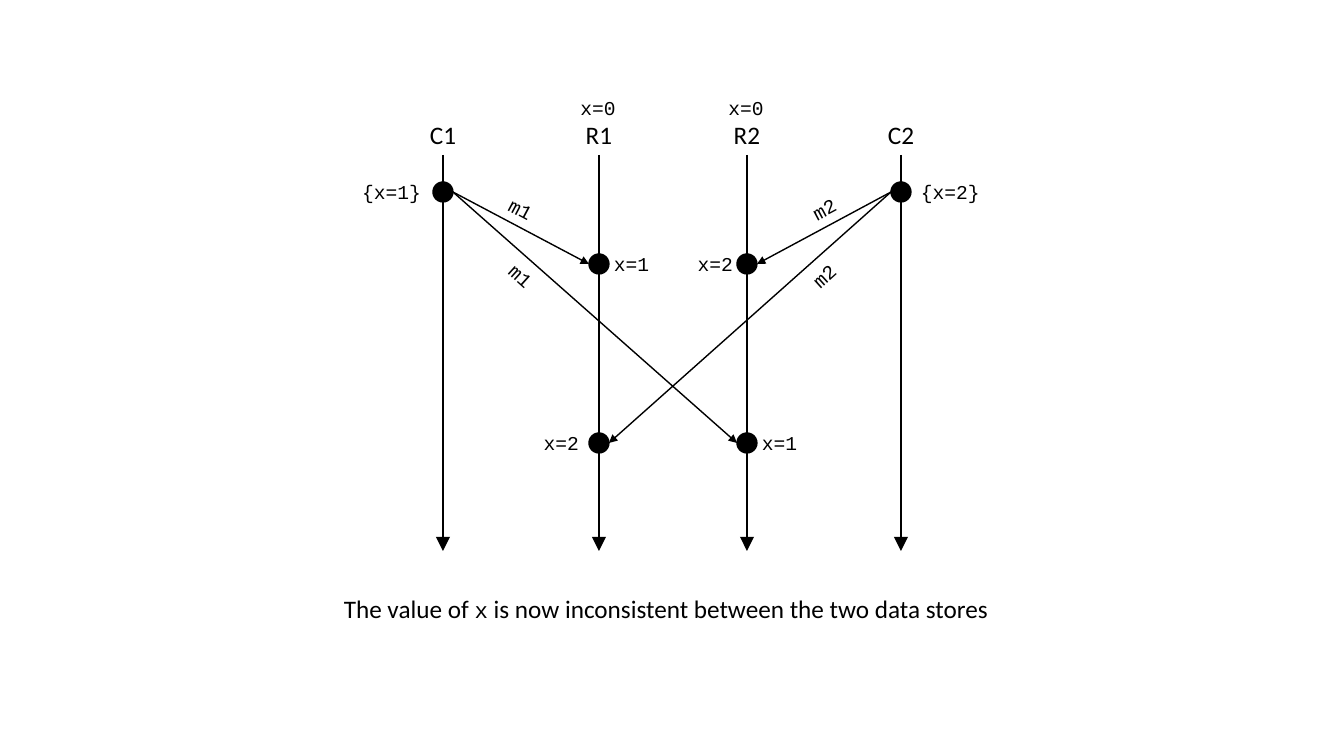
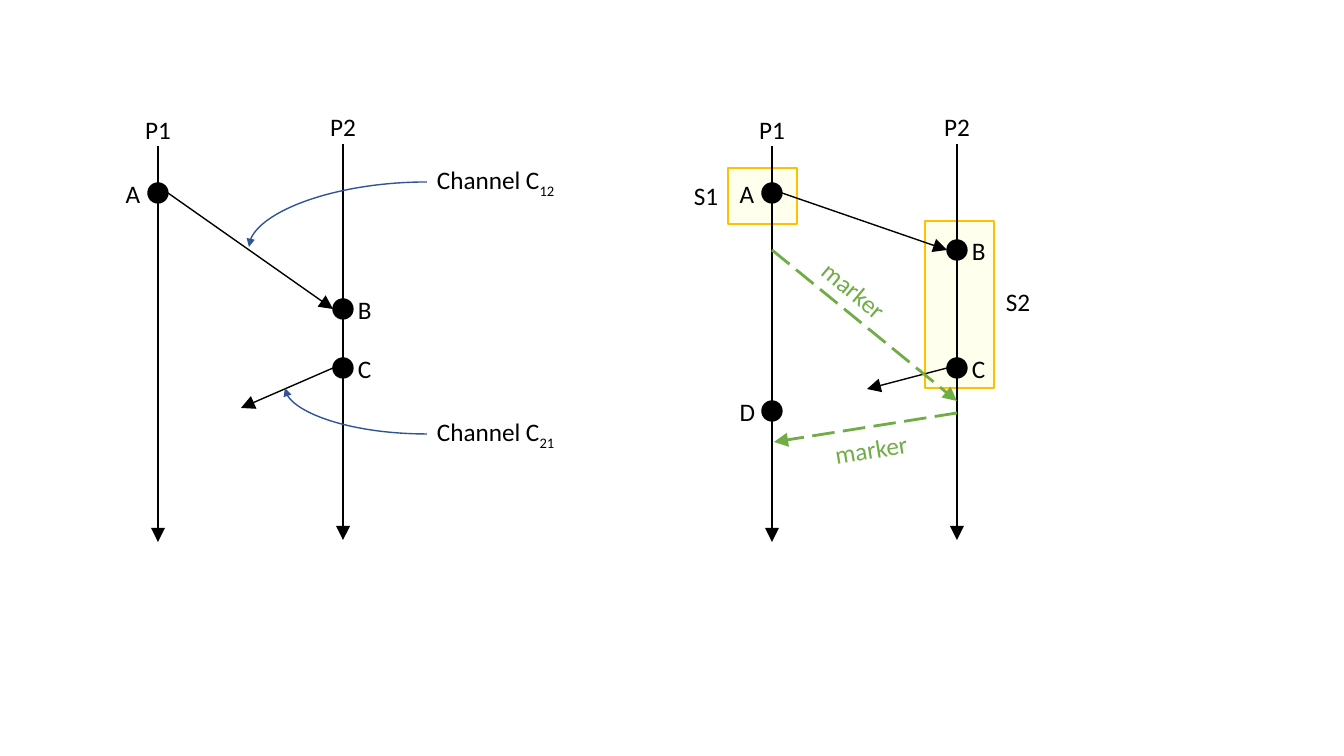
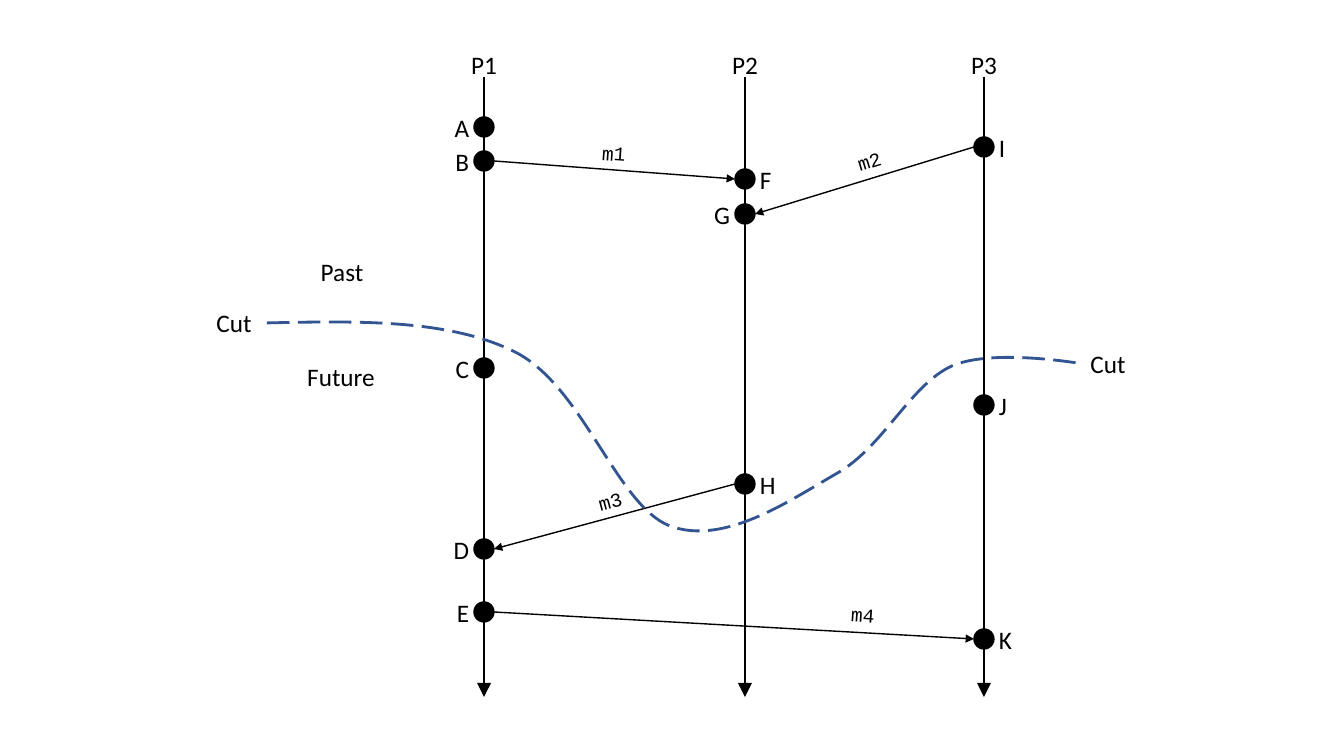
from dataclasses import dataclass

from lxml.etree import SubElement
from pptx import Presentation
from pptx.dml.color import RGBColor
from pptx.enum.dml import MSO_LINE
from pptx.enum.shapes import MSO_CONNECTOR as Connector, MSO_SHAPE as Preset
from pptx.enum.text import MSO_ANCHOR as Anchor, PP_ALIGN as Align
from pptx.oxml.ns import qn
from pptx.util import Pt

SCALE = 12192000 / 1344


def px(length):
    """Turn whole pixels into EMU."""
    return round(length * SCALE)


@dataclass(frozen=True)
class Theme:
    """Colours, fonts, type sizes and line widths."""

    ink: str = "000000"
    marker: str = "70AD47"
    channel: str = "2F5597"
    cut: str = "325491"
    state_fill: str = "FFFFEE"
    state_line: str = "FFC000"
    sans: str = "Calibri"
    mono: str = "Courier New"
    sans_size: int = 18
    inline_size: int = 16
    mono_size: int = 14
    thin: int = 1
    thick: int = 2
    radius: int = 10


class Diagram:
    """Draws space-time diagrams on the current slide."""

    def __init__(self, presentation, theme):
        """Keep the presentation and its theme."""
        self.presentation = presentation
        self.theme = theme
        self.shapes = None

    def new_slide(self):
        """Start a blank slide."""
        layout = self.presentation.slide_layouts[6]
        self.shapes = self.presentation.slides.add_slide(layout).shapes

    def stroke(self, line, color, width, dashed=False):
        """Format a line or outline."""
        line.color.rgb = RGBColor.from_string(color)
        line.width = Pt(width)
        if dashed:
            line.dash_style = MSO_LINE.LONG_DASH

    def style_run(self, run, mono=False, color=None, size=None):
        """Format one run of text."""
        theme = self.theme
        run.font.name = theme.mono if mono else theme.sans
        run.font.size = Pt(size or (theme.mono_size if mono else theme.sans_size))
        run.font.color.rgb = RGBColor.from_string(color or theme.ink)

    def label(self, text, x, y, width=48, mono=False, rotation=0, color=None, align=Align.CENTER):
        """Add one line of text centred on a point and return its paragraph."""
        if mono:
            width = 22 + 12 * len(text)
        height = 34 if mono else 40
        box = self.shapes.add_textbox(px(x - width / 2), px(y - height / 2), px(width), px(height))
        box.rotation = rotation
        frame = box.text_frame
        frame.word_wrap = True
        frame.vertical_anchor = Anchor.MIDDLE
        paragraph = frame.paragraphs[0]
        paragraph.text = text
        paragraph.alignment = align
        self.style_run(paragraph.runs[0], mono, color)
        return paragraph

    def add_run(self, paragraph, text, **style):
        """Append a formatted run and return it."""
        run = paragraph.add_run()
        run.text = text
        self.style_run(run, **style)
        return run

    def arrow(self, start, end, color=None, width=None, head="med", dashed=False, curved=False):
        """Draw an arrow between two points."""
        kind = Connector.CURVE if curved else Connector.STRAIGHT
        connector = self.shapes.add_connector(kind, *map(px, (*start, *end)))
        self.stroke(connector.line, color or self.theme.ink, width or self.theme.thin, dashed)
        properties = connector._element.spPr
        if curved:
            properties.find(qn("a:prstGeom")).set("prst", "curvedConnector2")
        SubElement(properties.find(qn("a:ln")), qn("a:tailEnd"), type="triangle", w=head, len=head)
        SubElement(properties, qn("a:effectLst"))

    def lifeline(self, name, x, top, bottom, gap):
        """Draw a process line with its name above."""
        self.label(name, x, top - gap)
        self.arrow((x, top), (x, bottom), width=self.theme.thick, head="lg")

    def preset(self, kind, left, top, width, height, fill, line):
        """Add a filled preset shape."""
        shape = self.shapes.add_shape(kind, px(left), px(top), px(width), px(height))
        shape.shadow.inherit = False
        shape.fill.solid()
        shape.fill.fore_color.rgb = RGBColor.from_string(fill)
        self.stroke(shape.line, line, self.theme.thin)

    def event(self, text, x, y, side=1, gap=5, mono=False):
        """Draw an event dot labelled on the left (-1) or right (1), returning its centre."""
        theme = self.theme
        radius = theme.radius
        self.preset(Preset.OVAL, x - radius, y - radius, 2 * radius, 2 * radius, theme.ink, theme.ink)
        width = 22 + 12 * len(text) if mono else 38
        align = Align.LEFT if side > 0 else Align.RIGHT
        self.label(text, x + side * (gap + width / 2), y, width, mono, align=align)
        return x, y

    def message(self, sender, receiver, head="med"):
        """Draw an arrow from the edge of one dot to the edge of another."""
        reach = self.theme.radius if receiver[0] > sender[0] else -self.theme.radius
        self.arrow((sender[0] + reach, sender[1]), (receiver[0] - reach, receiver[1]), head=head)

    def dashed_curve(self, points, color):
        """Draw a chain of cubic curves through every third point."""
        builder = self.shapes.build_freeform(*points[0], scale=SCALE)
        builder.add_line_segments(points[1:], close=False)
        shape = builder.convert_to_shape()
        shape.shadow.inherit = False
        shape.fill.background()
        self.stroke(shape.line, color, self.theme.thick, dashed=True)
        path = next(shape._element.iter(qn("a:path")))
        segments = path.findall(qn("a:lnTo"))
        for first in range(0, len(segments), 3):
            curve = SubElement(path, qn("a:cubicBezTo"))
            for segment in segments[first:first + 3]:
                curve.append(segment[0])
                path.remove(segment)


def replicas_slide(diagram):
    """Two clients write to two replicas in different orders."""
    diagram.new_slide()
    client_1, replica_1, replica_2, client_2 = 443, 599, 747, 901
    for name, x in (("C1", client_1), ("R1", replica_1), ("R2", replica_2), ("C2", client_2)):
        diagram.lifeline(name, x, 155, 551, 21)
    for x in (replica_1, replica_2):
        diagram.label("x=0", x - 1, 108, mono=True)
    write_1 = diagram.event("{x=1}", client_1, 192, -1, gap=12, mono=True)
    write_2 = diagram.event("{x=2}", client_2, 192, gap=10, mono=True)
    for sender, text, x, y, side, gap in (
        (write_1, "x=1", replica_1, 264, 1, 5),
        (write_2, "x=2", replica_2, 264, -1, 4),
        (write_2, "x=2", replica_1, 443, -1, 10),
        (write_1, "x=1", replica_2, 443, 1, 5),
    ):
        diagram.message(sender, diagram.event(text, x, y, side, gap, mono=True))
    for y, angle in ((209, 28), (276, 42)):
        diagram.label("m1", 521, y, mono=True, rotation=angle)
        diagram.label("m2", 824, y, mono=True, rotation=-angle)
    caption = diagram.label("The value of ", 666, 608, 674)
    diagram.add_run(caption, "x", mono=True, size=diagram.theme.inline_size)
    diagram.add_run(caption, " is now inconsistent between the two data stores")


def snapshot_slide(diagram):
    """Channels between two processes, and a snapshot taken with markers."""
    diagram.new_slide()
    theme = diagram.theme
    for state, box, x, y in (
        ("S1", (728, 168, 69, 56), 706, 195),
        ("S2", (925, 221, 69, 167), 1018, 301),
    ):
        diagram.preset(Preset.RECTANGLE, *box, theme.state_fill, theme.state_line)
        diagram.label(state, x, y)
    for left, receive_y, lost_end in ((158, 309, (241, 408)), (772, 250, (867, 389))):
        right = left + 185
        diagram.lifeline("P1", left, 146, 542, 17)
        diagram.lifeline("P2", right, 144, 540, 18)
        sent = diagram.event("A", left, 193, -1, gap=8)
        diagram.message(sent, diagram.event("B", right, receive_y), head="lg")
        x, y = diagram.event("C", right, 368)
        diagram.arrow((x - theme.radius, y), lost_end, head="lg")
    diagram.event("D", 772, 411, -1, gap=7)
    for number, y, start_y, end in (("12", 182, 182, (249, 247)), ("21", 434, 434, (285, 388))):
        channel = diagram.label("Channel C", 498, y, 142, align=Align.LEFT)
        subscript = diagram.add_run(channel, number)
        subscript._r.get_or_add_rPr().set("baseline", "-25000")
        diagram.arrow((427, start_y), end, theme.channel, curved=True)
    for start, end, x, y, angle in (
        ((772, 250), (957, 401), 854, 290, 39.8),
        ((957, 413), (774, 442), 871, 449, -9.2),
    ):
        diagram.arrow(start, end, theme.marker, theme.thick, "lg", dashed=True)
        diagram.label("marker", x, y, 96, rotation=angle, color=theme.marker)


def cut_slide(diagram):
    """Three processes with a cut between past and future."""
    diagram.new_slide()
    columns = {"P1": 484, "P2": 745, "P3": 984}
    for name, x in columns.items():
        diagram.lifeline(name, x, 77, 697, 13)
    events = {}
    for process, side, rows in (
        ("P1", -1, {"A": 127, "B": 161, "C": 368, "D": 549, "E": 612}),
        ("P2", 1, {"F": 179, "H": 484}),
        ("P2", -1, {"G": 214}),
        ("P3", 1, {"I": 147, "J": 405, "K": 639}),
    ):
        for name, y in rows.items():
            events[name] = diagram.event(name, columns[process], y, side)
    for name, sender, receiver, x, y, angle in (
        ("m1", "B", "F", 614, 153, 4),
        ("m2", "I", "G", 869, 161, -17),
        ("m3", "H", "D", 610, 501, -15),
        ("m4", "E", "K", 863, 615, 4),
    ):
        diagram.message(events[sender], events[receiver])
        diagram.label(name, x, y, mono=True, rotation=angle)
    diagram.dashed_curve(
        [
            (267, 323),
            (358, 321), (449, 319), (515, 352),
            (583, 386), (617, 506), (670, 526),
            (724, 546), (789, 501), (836, 474),
            (883, 448), (910, 385), (952, 366),
            (993, 348), (1083, 364), (1083, 364),
        ],
        diagram.theme.cut,
    )
    for text, x, y, width in (
        ("Past", 342, 271, 66),
        ("Future", 341, 376, 92),
        ("Cut", 234, 322, 58),
        ("Cut", 1108, 363, 58),
    ):
        diagram.label(text, x, y, width)


def main():
    """Build and save the presentation."""
    presentation = Presentation()
    presentation.slide_width, presentation.slide_height = px(1344), px(756)
    diagram = Diagram(presentation, Theme())
    replicas_slide(diagram)
    snapshot_slide(diagram)
    cut_slide(diagram)
    presentation.save("out.pptx")


if __name__ == "__main__":
    main()
